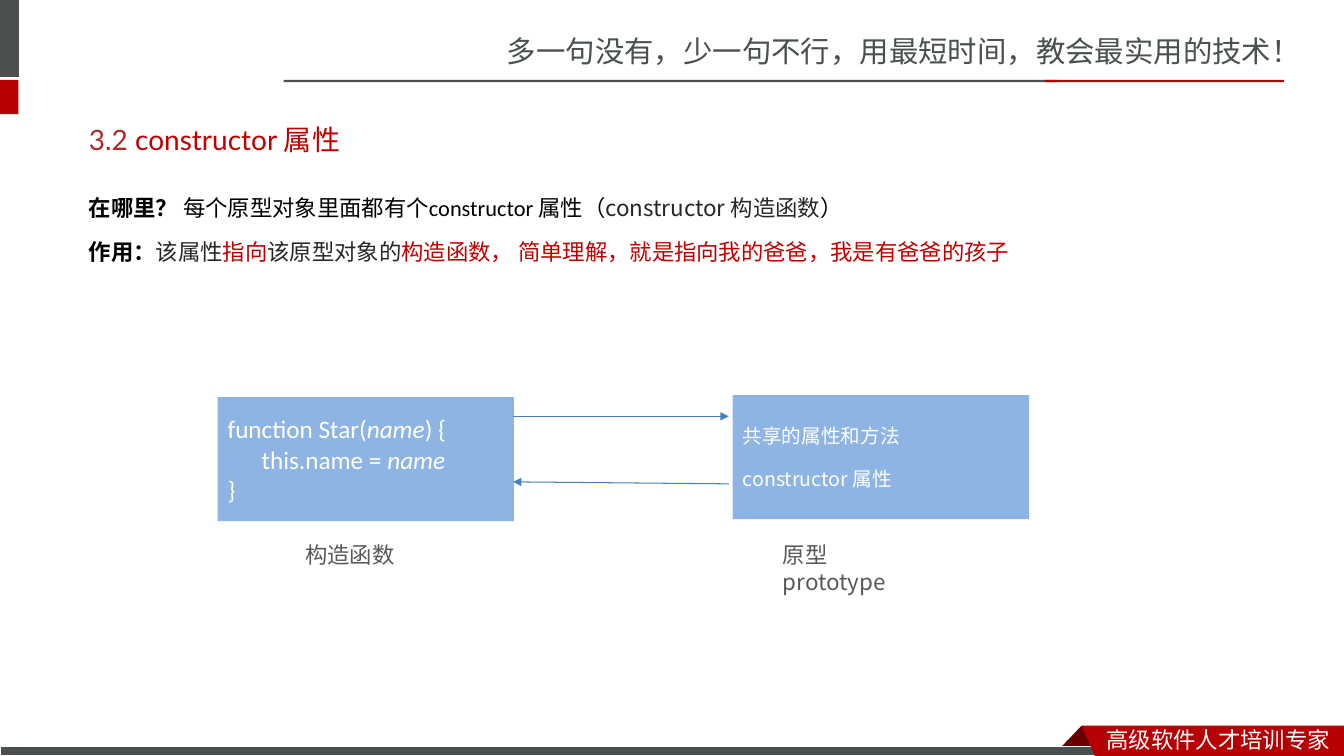
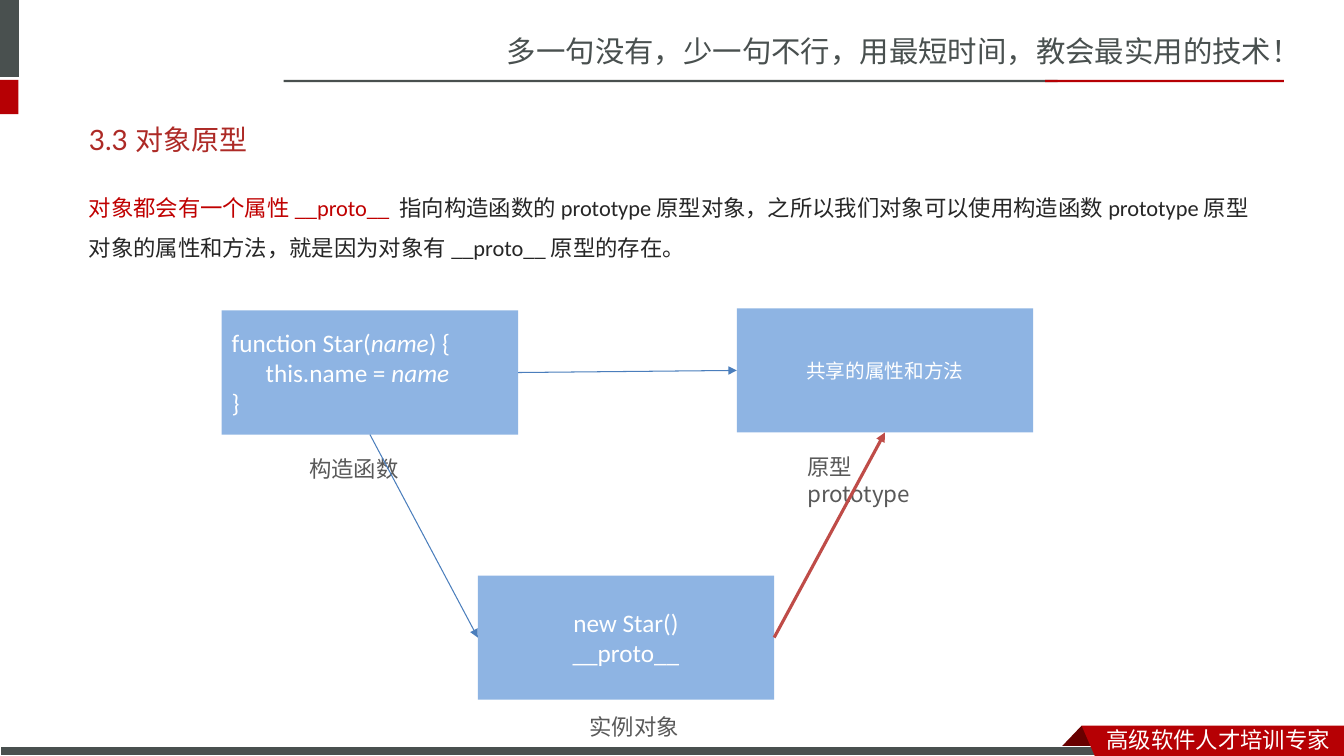
from lxml.etree import SubElement
from pptx import Presentation
from pptx.dml.color import RGBColor
from pptx.enum.shapes import MSO_CONNECTOR, MSO_SHAPE
from pptx.enum.text import MSO_ANCHOR, MSO_AUTO_SIZE, PP_ALIGN
from pptx.oxml.ns import qn
from pptx.util import Pt

# Colours and fonts
WHITE = RGBColor(0xFF, 0xFF, 0xFF)
BLACK = RGBColor(0x00, 0x00, 0x00)
INK = RGBColor(0x26, 0x26, 0x26)
LABEL_GRAY = RGBColor(0x59, 0x59, 0x59)
SLATE = RGBColor(0x49, 0x50, 0x4F)
BRAND_RED = RGBColor(0xB6, 0x00, 0x04)
FOLD_RED = RGBColor(0x68, 0x00, 0x00)
TITLE_RED = RGBColor(0xAD, 0x2A, 0x26)
RED = RGBColor(0xC0, 0x00, 0x00)
BOX_BLUE = RGBColor(0x8E, 0xB4, 0xE3)
LINE_BLUE = RGBColor(0x4B, 0x7E, 0xBC)
LINE_RED = RGBColor(0xBF, 0x4C, 0x48)
CALIBRI, LATO = "Calibri", "Lato"
SANS_SC, SANS_JP = "Noto Sans CJK SC", "Noto Sans CJK JP"

# Text styles: font, size, colour, bold, italic
STYLES = {
    "header": (SANS_SC, 21, SLATE, False, False),
    "footer": (SANS_SC, 16, WHITE, False, False),
    "title": (LATO, 20, TITLE_RED, False, False),
    "title red": (LATO, 20, RED, False, False),
    "lead": (CALIBRI, 16, BLACK, True, False),
    "black": (CALIBRI, 16, BLACK, False, False),
    "ink": (CALIBRI, 16, INK, False, False),
    "red": (CALIBRI, 16, RED, False, False),
    "ink sans": (SANS_JP, 16, INK, False, False),
    "code": (CALIBRI, 18, WHITE, False, False),
    "argument": (CALIBRI, 18, WHITE, False, True),
    "note": (SANS_JP, 14, WHITE, False, False),
    "label": (SANS_JP, 16, LABEL_GRAY, False, False),
}

# Shared frame: left, top, width, height, fill
BARS = [
    (0, 0, 13.5, 55, SLATE),
    (0, 57, 13.2, 24.5, BRAND_RED),
    (202.5, 57, 553, 1.7, SLATE),
    (746.5, 57, 170.5, 1.7, BRAND_RED),
]
FOOTER_BAR = (0, 533.5, 791, 6.5, SLATE)
FOLD = [(772.6, 518.4), (788.4, 535), (756.7, 535)]
RIBBON = [(772.6, 518.4), (960, 518.4), (960, 540), (782, 540)]
HEADER = ("多一句没有，少一句不行，用最短时间，教会最实用的技术！", "header", (355, 20.2, 605, 33.8))
FOOTER = ("高级软件人才培训专家", "footer", (783.4, 514.8, 176.6, 26.6))
TITLE_FRAME = (56.2, 79.2, 846, 41)
BOX_SIZE = (211.7, 88.6)

# Content: each paragraph is a list of (text, style)
STAR_CODE = [
    [("function Star(", "code"), ("name", "argument"), (") {", "code")],
    [("      this.name = ", "code"), ("name", "argument")],
    [("}", "code")],
]
SHARED_MEMBERS = [("共享的属性和方法", "note")]
LEFT, CENTER = PP_ALIGN.LEFT, PP_ALIGN.CENTER

PAGES = [
    {
        "title": [("3.2 ", "title"), ("constructor 属性", "title red")],
        "body frame": (56.2, 125.3, 874.8, 405.4),
        "body": [
            [("在哪里？ ", "lead"), ("每个原型对象里面都有个constructor 属性（", "black"),
             ("constructor 构造函数", "ink sans"), ("）", "black")],
            [("作用：", "lead"), ("该属性", "ink"), ("指向", "red"), ("该原型对象的", "ink"),
             ("构造函数， 简单理解，就是指向我的爸爸，我是有爸爸的孩子", "red")],
        ],
        # name: (left, top, paragraphs, alignment, gap between paragraphs)
        "boxes": {
            "constructor": (155.5, 283.7, STAR_CODE, LEFT, 0),
            "prototype": (523.4, 282.2, [SHARED_MEMBERS, [("constructor 属性", "note")]], LEFT, 14),
        },
        "labels": [("构造函数", 211, 383, 78.5), ("原型\vprototype", 552.2, 383, 126)],
        # start, end, colour, width; an end is a point or (box name, side)
        "arrows": [
            ((366.5, 297.4), (520.6, 297.4), LINE_BLUE, 0.75),
            ((520.6, 345.6), (366.5, 344.2), LINE_BLUE, 0.75),
        ],
    },
    {
        "title": [("3.3 对象原型", "title")],
        "body frame": (56.2, 125.3, 843.8, 84.2),
        "body": [
            [("对象都会有一个属性 __proto__  ", "red"),
             ("指向构造函数的 prototype 原型对象，之所以我们对象可以使用构造函数 prototype "
              "原型对象的属性和方法，就是因为对象有 __proto__ 原型的存在。", "ink")],
        ],
        "boxes": {
            "constructor": (158.4, 221.8, STAR_CODE, LEFT, 0),
            "prototype": (526.3, 220.3, [SHARED_MEMBERS], CENTER, 0),
            "instance": (341.3, 411.1, [[("new Star()", "code")], [("__proto__", "code")]], CENTER, 0),
        },
        "labels": [("构造函数", 213.8, 321.8, 78.5), ("原型\vprototype", 569.5, 320.4, 126),
                   ("实例对象", 414, 506.2, 78.5)],
        "arrows": [
            (("constructor", 3), ("prototype", 1), LINE_BLUE, 0.75),
            (("constructor", 2), ("instance", 1), LINE_BLUE, 0.75),
            (("instance", 3), ("prototype", 2), LINE_RED, 2.25),
        ],
    },
]


def points(values):
    return [Pt(value) for value in values]


def format_run(span, style):
    name, size, color, bold, italic = STYLES[style]
    font = span.font
    font.name, font.size, font.bold, font.italic = name, Pt(size), bold, italic
    font.color.rgb = color
    east_asian = SubElement(font._element, qn("a:ea"))
    east_asian.set("typeface", name if name.startswith("Noto") else SANS_SC)


def write(frame, paragraphs, align=LEFT, gap=0):
    for index, spans in enumerate(paragraphs):
        para = frame.add_paragraph() if index else frame.paragraphs[0]
        para.alignment = align
        para.space_before = Pt(gap if index else 0)
        for text, style in spans:
            for part_index, part in enumerate(text.split("\v")):
                if part_index:
                    para.add_line_break()
                span = para.add_run()
                span.text = part
                format_run(span, style)


def paint(shape, color):
    shape.shadow.inherit = False
    shape.fill.solid()
    shape.fill.fore_color.rgb = color
    shape.line.fill.background()
    return shape


def add_rectangle(page, left, top, width, height, color):
    frame = points((left, top, width, height))
    return paint(page.shapes.add_shape(MSO_SHAPE.RECTANGLE, *frame), color)


def add_polygon(page, corners, color):
    start, *others = [points(corner) for corner in corners]
    builder = page.shapes.build_freeform(*start)
    builder.add_line_segments(others, close=True)
    return paint(builder.convert_to_shape(), color)


def add_text(page, text, style, frame):
    box = page.shapes.add_textbox(*points(frame))
    box.text_frame.word_wrap = True
    box.text_frame.margin_right = 0
    write(box.text_frame, [[(text, style)]])
    return box


def place(shape, frame):
    shape.left, shape.top, shape.width, shape.height = points(frame)


def add_arrow(page, boxes, start, end, color, width):
    ends = [isinstance(item[0], str) for item in (start, end)]
    first = (0, 0) if ends[0] else start
    last = (0, 0) if ends[1] else end
    arrow = page.shapes.add_connector(MSO_CONNECTOR.STRAIGHT, *points(first + last))
    if ends[0]:
        arrow.begin_connect(boxes[start[0]], start[1])
    if ends[1]:
        arrow.end_connect(boxes[end[0]], end[1])
    arrow.line.color.rgb = color
    arrow.line.width = Pt(width)
    SubElement(arrow.line._get_or_add_ln(), qn("a:tailEnd")).set("type", "triangle")
    SubElement(arrow.element.spPr, qn("a:effectLst"))


def move_frame_to_layout(page, layout):
    """Draw the shared bands and slogans once and hand them to the layout."""
    parts = [add_rectangle(page, *bar) for bar in BARS]
    parts.append(add_polygon(page, FOLD, FOLD_RED))
    footer_bar = add_rectangle(page, *FOOTER_BAR)
    footer_bar.line.color.rgb = WHITE
    footer_bar.line.width = Pt(0.75)
    parts += [footer_bar, add_polygon(page, RIBBON, BRAND_RED)]
    parts += [add_text(page, *slogan) for slogan in (HEADER, FOOTER)]
    for part in parts:
        layout.shapes.element.append(part.element)


def fill_page(page, content):
    # Title and body
    title, body = page.shapes.title, page.placeholders[1]
    place(title, TITLE_FRAME)
    place(body, content["body frame"])
    for holder in (title, body):
        holder.text_frame.auto_size = MSO_AUTO_SIZE.NONE
    title.text_frame.vertical_anchor = MSO_ANCHOR.MIDDLE
    write(title.text_frame, [content["title"]])
    write(body.text_frame, content["body"], gap=3)
    for para in body.text_frame.paragraphs:
        para.line_spacing = 1.5
        properties = para._p.get_or_add_pPr()
        properties.set("marL", "0")
        properties.set("indent", "0")
        SubElement(properties, qn("a:buNone"))

    # Diagram
    boxes = {}
    for name, (left, top, paragraphs, align, gap) in content["boxes"].items():
        boxes[name] = add_rectangle(page, left, top, *BOX_SIZE, BOX_BLUE)
        boxes[name].text_frame.vertical_anchor = MSO_ANCHOR.MIDDLE
        write(boxes[name].text_frame, paragraphs, align, gap)
    for text, left, top, width in content["labels"]:
        add_text(page, text, "label", (left, top, width, 26.6))
    for arrow in content["arrows"]:
        add_arrow(page, boxes, *arrow)


def main():
    deck = Presentation()
    deck.slide_width, deck.slide_height = Pt(960), Pt(540)
    layout = deck.slide_layouts[1]
    pages = [deck.slides.add_slide(layout) for _ in PAGES]
    move_frame_to_layout(pages[0], layout)
    for page, content in zip(pages, PAGES):
        fill_page(page, content)
    deck.save("out.pptx")


if __name__ == "__main__":
    main()
